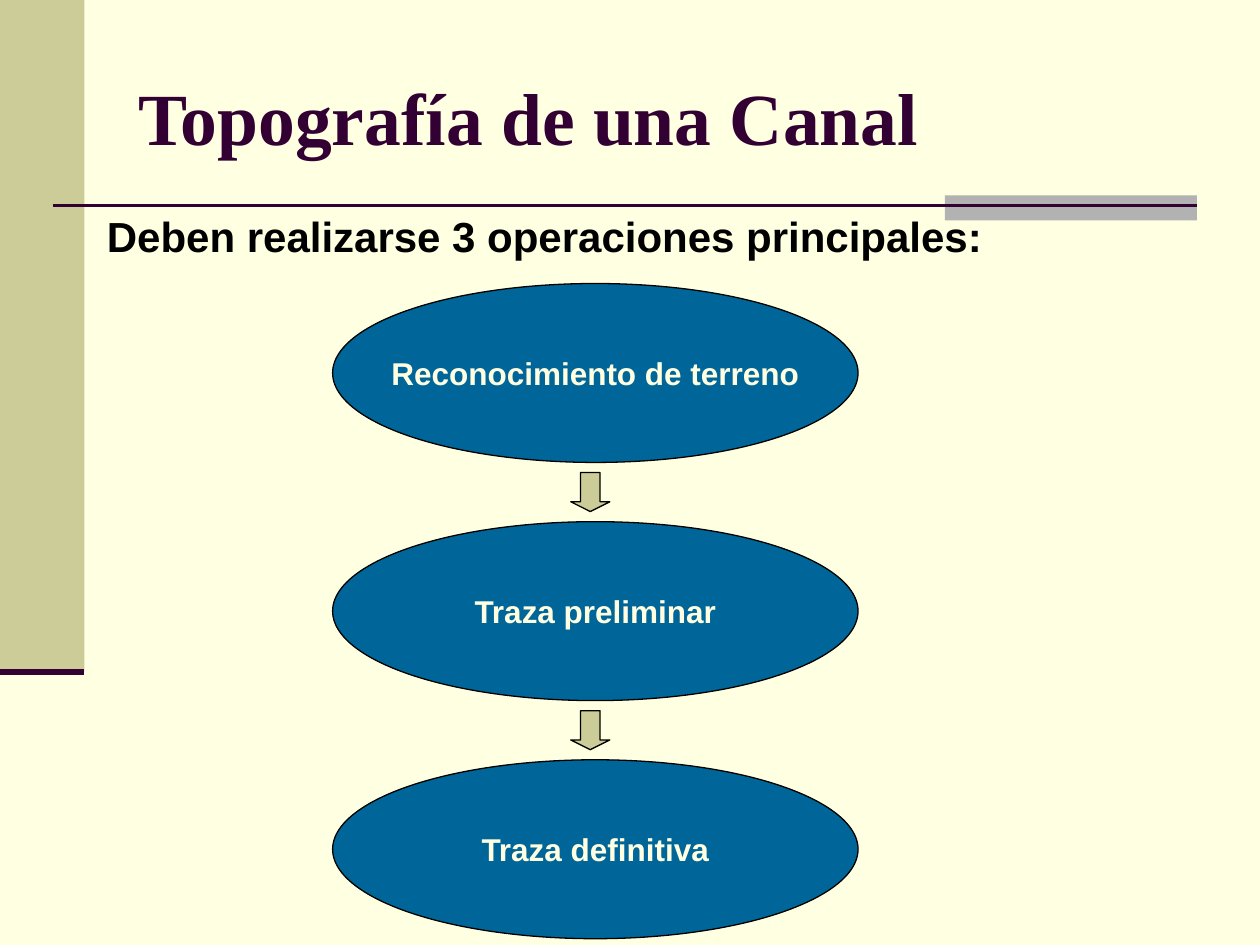
from lxml import etree
from pptx import Presentation
from pptx.dml.color import RGBColor
from pptx.enum import shapes, text
from pptx.oxml import ns
from pptx.util import Inches, Pt

CREAM = RGBColor(0xFF, 0xFF, 0xE1)
KHAKI = RGBColor(0xCC, 0xCC, 0x99)
GREY = RGBColor(0xB2, 0xB2, 0xB2)
PLUM = RGBColor(0x33, 0x00, 0x33)
BLUE = RGBColor(0x00, 0x66, 0x99)
BLACK = RGBColor(0x00, 0x00, 0x00)

STEPS = ["Reconocimiento de terreno", "Traza preliminar", "Traza definitiva"]
STEP_TOP, STEP_PITCH = 2.25, 1.89
ARROW_OFFSET = 1.5

prs = Presentation()
prs.slide_width, prs.slide_height = Inches(10), Inches(7.5)
slide = prs.slides.add_slide(prs.slide_layouts[5])
slide.background.fill.solid()
slide.background.fill.fore_color.rgb = CREAM


def add_filled(kind, left, top, width, height, color, outline=None):
    shape = slide.shapes.add_shape(
        kind, Inches(left), Inches(top), Inches(width), Inches(height))
    shape.shadow.inherit = False
    shape.fill.solid()
    shape.fill.fore_color.rgb = color
    if outline is None:
        shape.line.fill.background()
    else:
        shape.line.color.rgb = outline
        shape.line.width = Pt(0.75)
    return shape


def write(frame, words, font_name, size, color, align):
    """Put one bold paragraph in the frame."""
    paragraph = frame.paragraphs[0]
    paragraph.text = words
    paragraph.alignment = align
    paragraph.font.name = font_name
    paragraph.font.size = Pt(size)
    paragraph.font.bold = True
    paragraph.font.color.rgb = color


# Side band and rules
add_filled(shapes.MSO_SHAPE.RECTANGLE, 0, 0, 0.67, 5.33, KHAKI)
add_filled(shapes.MSO_SHAPE.RECTANGLE, 7.5, 1.55, 2, 0.2, GREY)
for start, end, y, weight in [(0.42, 9.5, 1.63, 1.5), (0, 0.67, 5.33, 3.5)]:
    rule = slide.shapes.add_connector(
        shapes.MSO_CONNECTOR.STRAIGHT,
        Inches(start), Inches(y), Inches(end), Inches(y))
    rule.line.color.rgb = PLUM
    rule.line.width = Pt(weight)
    etree.SubElement(rule._element.spPr, ns.qn("a:effectLst"))

# Heading and introduction
title = slide.shapes.title
title.left, title.top = Inches(1), Inches(0.3)
title.width, title.height = Inches(8.5), Inches(1.25)
title.text_frame.vertical_anchor = text.MSO_ANCHOR.MIDDLE
write(title.text_frame, "Topografía de una Canal", "Times New Roman", 42,
      PLUM, text.PP_ALIGN.LEFT)

intro = slide.shapes.add_textbox(
    Inches(0.75), Inches(1.62), Inches(9.06), Inches(0.5)).text_frame
intro.word_wrap = True
intro.auto_size = text.MSO_AUTO_SIZE.SHAPE_TO_FIT_TEXT
write(intro, "Deben realizarse 3 operaciones principales:", "Arial", 24,
      BLACK, text.PP_ALIGN.LEFT)

# Steps, with an arrow between each pair
for index, step in enumerate(STEPS):
    top = STEP_TOP + index * STEP_PITCH
    ellipse = add_filled(
        shapes.MSO_SHAPE.OVAL, 2.64, top, 4.17, 1.42, BLUE, BLACK)
    ellipse.text_frame.word_wrap = False
    ellipse.text_frame.vertical_anchor = text.MSO_ANCHOR.MIDDLE
    write(ellipse.text_frame, step, "Arial", 18, CREAM, text.PP_ALIGN.CENTER)
    if index < len(STEPS) - 1:
        arrow = add_filled(shapes.MSO_SHAPE.DOWN_ARROW, 4.53,
                           top + ARROW_OFFSET, 0.31, 0.31, KHAKI, BLACK)
        arrow.adjustments[0], arrow.adjustments[1] = 0.5, 0.25

prs.save("out.pptx")
